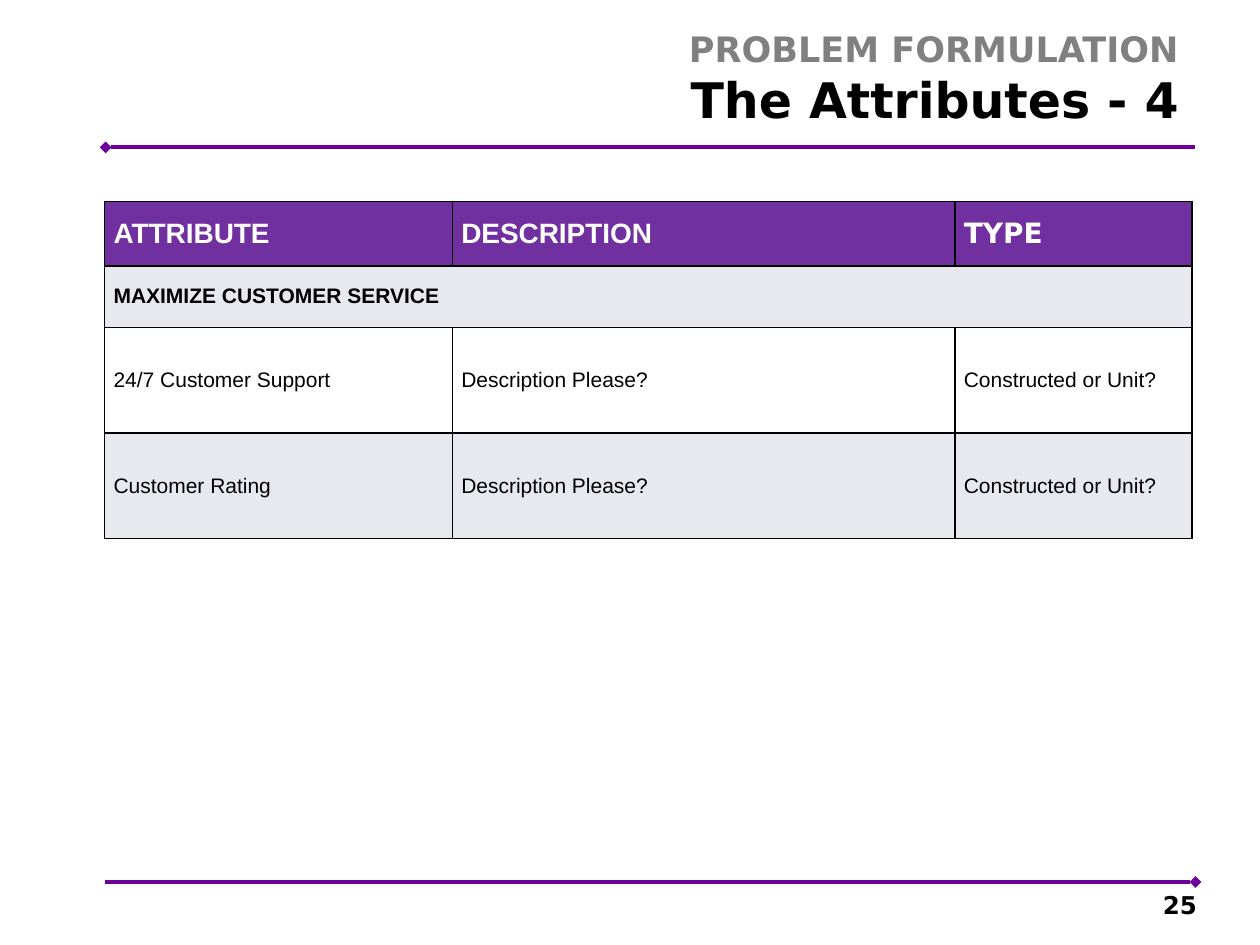
from lxml import etree
from pptx import Presentation
from pptx.dml.color import RGBColor
from pptx.enum.shapes import MSO_CONNECTOR
from pptx.enum.text import MSO_ANCHOR, PP_ALIGN
from pptx.oxml.ns import qn
from pptx.util import Cm, Pt

LINE = MSO_CONNECTOR.STRAIGHT
RIGHT = PP_ALIGN.RIGHT
TOP, MIDDLE, BOTTOM = MSO_ANCHOR.TOP, MSO_ANCHOR.MIDDLE, MSO_ANCHOR.BOTTOM

BLACK = RGBColor(0x00, 0x00, 0x00)
WHITE = RGBColor(0xFF, 0xFF, 0xFF)
GREY = RGBColor(0x80, 0x80, 0x80)
VIOLET = RGBColor(0x6D, 0x00, 0x9D)
PURPLE = RGBColor(0x70, 0x30, 0xA0)
PALE = RGBColor(0xE8, 0xE8, 0xEF)

SANS, ARIAL = "DejaVu Sans", "Arial"
KICKER = {"size": Pt(20), "name": SANS, "bold": True, "color": GREY}
TITLE = {**KICKER, "size": Pt(28), "color": BLACK}
NUMBER = {**TITLE, "size": Pt(14)}
HEAD = {"size": Pt(16), "name": ARIAL, "bold": True, "color": WHITE}
BODY = {"size": Pt(12), "name": ARIAL, "bold": False, "color": BLACK}
GROUP = {**BODY, "bold": True}

COLS = (7.01, 10.13, 4.78)
ASK = ("Description Please?", "Constructed or Unit?")
# Height, fill, text format, cell texts
ROWS = (
    (1.3, PURPLE, HEAD, ("ATTRIBUTE", "DESCRIPTION", "TYPE")),
    (1.24, PALE, GROUP, ("MAXIMIZE CUSTOMER SERVICE",)),
    (2.13, WHITE, BODY, ("24/7 Customer Support", *ASK)),
    (2.13, PALE, BODY, ("Customer Rating", *ASK)),
)


def add_run(para, text, form):
    run = para.add_run()
    run.text = text
    for key, val in form.items():
        if key == "color":
            run.font.color.rgb = val
        else:
            setattr(run.font, key, val)


def add_text(slide, box, lines, anchor, inset=0.25):
    """Right-aligned text box; lines are (text, format) pairs."""
    frame = slide.shapes.add_textbox(*map(Cm, box)).text_frame
    form = {"word_wrap": True, "vertical_anchor": anchor,
            "margin_left": Cm(0.25), "margin_right": Cm(inset),
            "margin_top": Cm(0.13), "margin_bottom": Cm(0.13)}
    for key, val in form.items():
        setattr(frame, key, val)
    para = frame.paragraphs[0]
    para.alignment = RIGHT
    for pos, (text, style) in enumerate(lines):
        if pos:
            para.add_line_break()
        add_run(para, text, style)


def add_rule(slide, left, top, width, end):
    """Violet rule with a diamond at the given end."""
    rule = slide.shapes.add_connector(
        LINE, Cm(left), Cm(top), Cm(left + width), Cm(top))
    rule.line.color.rgb = VIOLET
    rule.line.width = Pt(2.25)
    etree.SubElement(rule.line._get_or_add_ln(), qn(f"a:{end}"), type="diamond")
    etree.SubElement(rule._element.spPr, qn("a:effectLst"))


def add_edges(cell):
    props = cell._tc.get_or_add_tcPr()
    for pos, side in enumerate(("lnL", "lnR", "lnT", "lnB")):
        edge = etree.Element(qn(f"a:{side}"), w=str(Pt(1)))
        fill = etree.SubElement(edge, qn("a:solidFill"))
        etree.SubElement(fill, qn("a:srgbClr"), val=str(BLACK))
        props.insert(pos, edge)


def add_header(slide, left, top, width, height):
    lines = (("PROBLEM FORMULATION", KICKER), ("The Attributes - 4", TITLE))
    add_text(slide, (left + 4.6, top, width - 4.69, height), lines, TOP)
    add_rule(slide, left + 0.02, top + 2.54, width - 0.04, "headEnd")


def add_grid(slide, left, top, width, height):
    grid = slide.shapes.add_table(
        len(ROWS), len(COLS), *map(Cm, (left, top, width, height))).table
    for col, size in zip(grid.columns, COLS):
        col.width = Cm(size)
    form = {"vertical_anchor": MIDDLE, "margin_left": Cm(0.18),
            "margin_right": Cm(0.18), "margin_top": 0, "margin_bottom": 0}
    for y, (size, fill, style, texts) in enumerate(ROWS):
        grid.rows[y].height = Cm(size)
        for x in range(len(COLS)):
            cell = grid.cell(y, x)
            for key, val in form.items():
                setattr(cell, key, val)
            cell.fill.solid()
            cell.fill.fore_color.rgb = fill
            add_edges(cell)
            if x < len(texts):
                face = SANS if texts[x] == "TYPE" else ARIAL
                add_run(cell.text_frame.paragraphs[0], texts[x],
                        {**style, "name": face})
        # A lone text spans the whole row
        if len(texts) == 1:
            grid.cell(y, 0).merge(grid.cell(y, len(COLS) - 1))


def add_footer(slide, left, top, width, height):
    add_rule(slide, left, top, width, "tailEnd")
    box = (left + width - 5.89, top + 0.15, 5.92, height)
    add_text(slide, box, (("25", NUMBER),), BOTTOM, inset=0)


def main():
    deck = Presentation()
    deck.slide_width, deck.slide_height = Cm(25.4), Cm(19.05)
    slide = deck.slides.add_slide(deck.slide_layouts[6])
    left, width = 2.11, 21.99
    add_header(slide, left, 0.43, width, 2.29)
    add_grid(slide, left, 4.06, sum(COLS), sum(row[0] for row in ROWS))
    add_footer(slide, left, 17.78, width, 0.74)
    deck.save("out.pptx")


if __name__ == "__main__":
    main()
